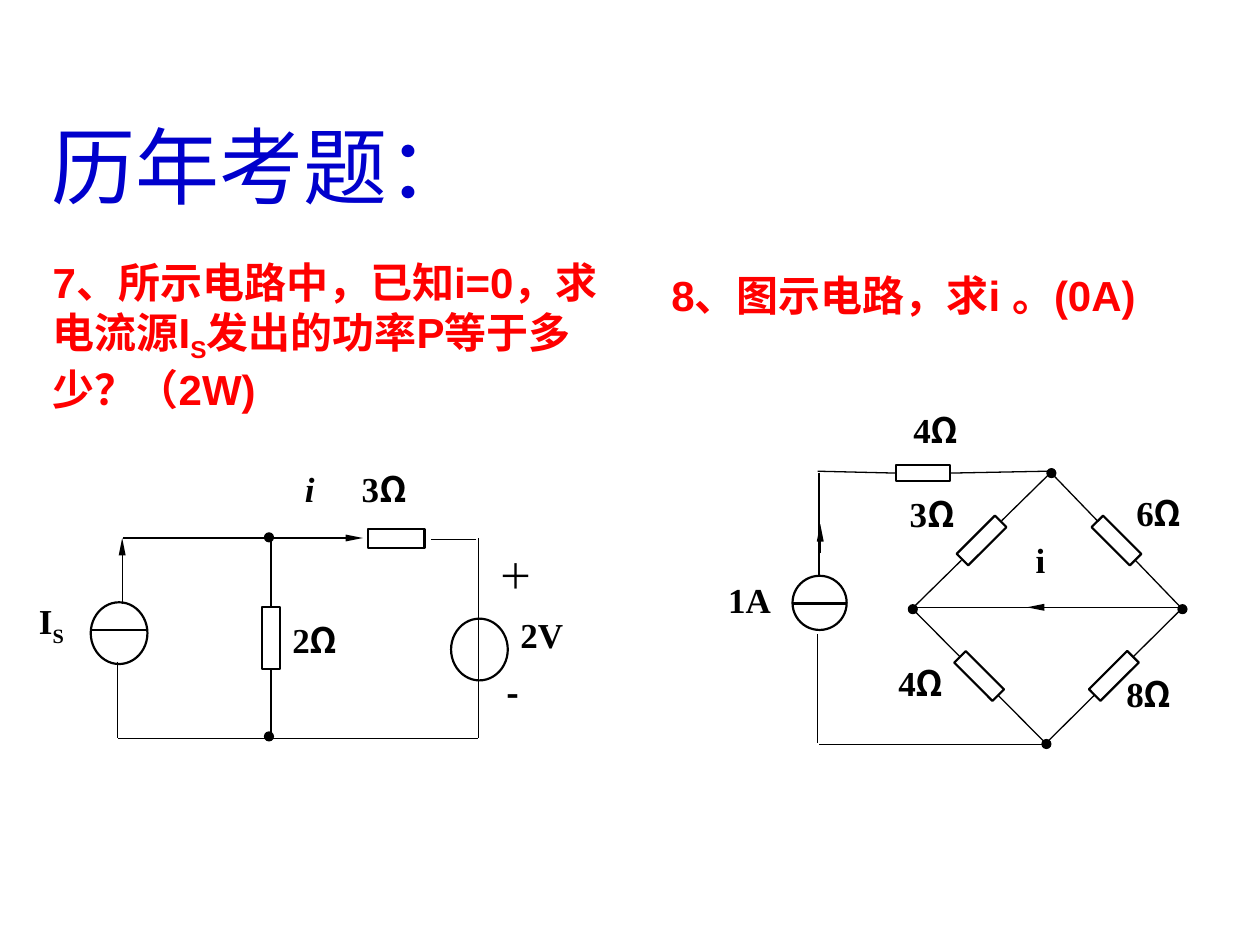
from dataclasses import dataclass

from lxml import etree
from pptx import Presentation
from pptx.dml.color import RGBColor
from pptx.enum.shapes import MSO_CONNECTOR, MSO_SHAPE
from pptx.enum.text import MSO_ANCHOR
from pptx.oxml.ns import qn
from pptx.util import Inches, Pt

STRAIGHT = MSO_CONNECTOR.STRAIGHT
RECTANGLE = MSO_SHAPE.RECTANGLE
OVAL = MSO_SHAPE.OVAL
TOP = MSO_ANCHOR.TOP
MIDDLE = MSO_ANCHOR.MIDDLE
SIDE_TOP, SIDE_LEFT, SIDE_BOTTOM, SIDE_RIGHT = range(4)


@dataclass(frozen=True)
class Theme:
    title_color: RGBColor = RGBColor(0x00, 0x00, 0xCC)
    question_color: RGBColor = RGBColor(0xFF, 0x00, 0x00)
    ink: RGBColor = RGBColor(0x00, 0x00, 0x00)
    serif: str = "Times New Roman"
    sans: str = "Arial"
    chinese: str = "Noto Sans CJK SC"
    title_size: int = 48
    question_size: int = 24
    label_size: int = 20
    wire: float = 0.75
    outline: float = 1.25


class CircuitSlide:
    def __init__(self, slide, theme):
        self.slide = slide
        self.theme = theme
        self.shapes = slide.shapes

    def start_circuit(self):
        self.shapes = self.slide.shapes.add_group_shape().shapes

    def text(self, box, parts, size, color, font, bold=True, italic=False,
             anchor=TOP, wrap=True, inset=(0.1, 0.05)):
        shape = self.shapes.add_textbox(*map(Inches, box))
        frame = shape.text_frame
        frame.word_wrap = wrap
        frame.vertical_anchor = anchor
        frame.margin_left = frame.margin_right = Inches(inset[0])
        frame.margin_top = frame.margin_bottom = Inches(inset[1])
        paragraph = frame.paragraphs[0]
        paragraph.font.size = Pt(size)
        paragraph.font.color.rgb = color
        paragraph.font.name = font
        paragraph.font.bold = bold
        paragraph.font.italic = italic
        for part in parts:
            run = paragraph.add_run()
            run.text = part.lstrip("_")
            if part.startswith("_"):
                run.font._element.set("baseline", "-25000")
            if part == "Ω":
                run.font.name = self.theme.chinese

    def question(self, box, parts, wrap=True):
        self.text(box, parts, self.theme.question_size, self.theme.question_color,
                  self.theme.sans, anchor=MIDDLE, wrap=wrap)

    def label(self, left, top, *parts, width=0.56, font=None, bold=True, italic=False):
        self.text((left, top, width, 0.43), parts, self.theme.label_size, self.theme.ink,
                  font or self.theme.serif, bold, italic, inset=(0, 0))

    def outline(self, kind, box, rotation=0, width=None, filled=False):
        shape = self.shapes.add_shape(kind, *map(Inches, box))
        shape.shadow.inherit = False
        shape.rotation = rotation
        shape.line.color.rgb = self.theme.ink
        shape.line.width = Pt(width or self.theme.outline)
        if filled:
            shape.fill.solid()
            shape.fill.fore_color.rgb = self.theme.ink
        else:
            shape.fill.background()
        return shape

    def node(self, x, y):
        self.outline(OVAL, (x - 0.04, y - 0.04, 0.07, 0.07), width=self.theme.wire, filled=True)

    def wire(self, start, end, arrow=False, width=None, begin=None, finish=None):
        line = self.shapes.add_connector(STRAIGHT, *map(Inches, (*start, *end)))
        line.line.color.rgb = self.theme.ink
        line.line.width = Pt(width or self.theme.wire)
        properties = line._element.spPr
        if arrow:
            etree.SubElement(properties.find(qn("a:ln")), qn("a:tailEnd"),
                             type="triangle", w="sm", len="lg")
        etree.SubElement(properties, qn("a:effectLst"))
        if begin:
            line.begin_connect(*begin)
        if finish:
            line.end_connect(*finish)

    def current_source(self, left, top, width, height, bar_y):
        self.outline(OVAL, (left, top, width, height))
        self.wire((left + width, bar_y), (left, bar_y), width=self.theme.outline)

    def bridge_arm(self, start, end):
        dx, dy = end[0] - start[0], end[1] - start[1]
        lead = 0.355

        def along(share):
            return start[0] + share * dx, start[1] + share * dy

        x, y = along(0.5)
        angle = 45 if dx * dy < 0 else 135
        self.outline(RECTANGLE, (x - 0.065, y - 0.215, 0.13, 0.43), angle)
        self.wire(start, along(lead))
        self.wire(along(1 - lead), end)


def draw_source_circuit(page):
    page.start_circuit()
    page.wire((3.8, 4.27), (3.8, 5.86))
    page.wire((3.79, 5.86), (0.94, 5.86))
    page.wire((0.93, 5.25), (0.93, 5.86))
    page.wire((0.97, 4.79), (0.97, 4.27), arrow=True)
    page.wire((0.98, 4.27), (2.88, 4.27), arrow=True)
    page.wire((3.78, 4.28), (3.42, 4.28))
    page.outline(RECTANGLE, (2.92, 4.2, 0.45, 0.15))
    shunt = page.outline(RECTANGLE, (2.08, 4.82, 0.14, 0.49))
    page.wire((2.15, 4.27), (2.15, 4.82), finish=(shunt, SIDE_TOP))
    page.wire((2.15, 5.31), (2.15, 5.84), begin=(shunt, SIDE_BOTTOM))
    for y in (4.27, 5.85):
        page.node(2.14, y)
    page.outline(OVAL, (3.58, 4.91, 0.45, 0.49))
    page.current_source(0.72, 4.78, 0.45, 0.49, 5)

    page.label(2.42, 3.71, "i", width=0.37, italic=True)
    page.label(2.87, 3.71, "3", "Ω")
    page.label(2.32, 4.91, "2", "Ω")
    page.label(0.31, 4.76, "I", "_S", width=0.37)
    page.label(4.13, 4.87, "2V")
    page.label(3.96, 4.4, "＋", width=0.37, font=page.theme.sans, bold=False)
    page.label(4.02, 5.33, "-", width=0.37, font=page.theme.chinese)


def draw_bridge_circuit(page):
    top, right, bottom, left = (8.34, 3.75), (9.38, 4.83), (8.3, 5.9), (7.24, 4.83)
    page.start_circuit()
    series = page.outline(RECTANGLE, (7.11, 3.69, 0.43, 0.13))
    page.wire((6.49, 3.74), (7.11, 3.74), finish=(series, SIDE_LEFT))
    page.wire((7.54, 3.74), (8.31, 3.74), begin=(series, SIDE_RIGHT))
    page.wire((6.5, 3.75), (6.5, 4.56))
    page.wire((6.51, 4.39), (6.51, 4.16), arrow=True)
    page.wire((6.49, 5.03), (6.49, 5.9))
    page.wire((8.3, 5.91), (6.5, 5.91))
    page.wire((9.37, 4.82), (7.22, 4.82))
    page.wire((8.69, 4.82), (8.15, 4.82), arrow=True)
    page.current_source(6.29, 4.57, 0.43, 0.43, 4.79)
    corners = (top, right, bottom, left)
    for corner, following in zip(corners, corners[1:] + corners[:1]):
        page.bridge_arm(corner, following)
    for x, y in corners:
        page.node(x + 0.01, y + 0.01)

    for x, y, ohms in ((7.25, 3.24, "4"), (7.22, 3.91, "3"), (9.02, 3.9, "6"),
                       (7.13, 5.25, "4"), (8.94, 5.34, "8")):
        page.label(x, y, ohms, "Ω")
    page.label(5.78, 4.59, "1A")
    page.label(8.22, 4.27, "i", width=0.27)


def main():
    presentation = Presentation()
    presentation.slide_width = Inches(10)
    presentation.slide_height = Inches(7.5)
    theme = Theme()
    page = CircuitSlide(presentation.slides.add_slide(presentation.slide_layouts[6]), theme)

    page.text((0.31, 0.86, 8.99, 0.9), ["历年考题："], theme.title_size,
              theme.title_color, theme.serif, bold=False)
    page.question((0.32, 1.98, 4.54, 1.36),
                  ["7、所示电路中，已知i=0，求电流源I", "_S", "发出的功率P等于多少？（2W)"])
    page.question((5.23, 2.09, 4.2, 0.5), ["8、图示电路，求i 。(0A)"], wrap=False)
    draw_source_circuit(page)
    draw_bridge_circuit(page)
    presentation.save("out.pptx")


if __name__ == "__main__":
    main()
